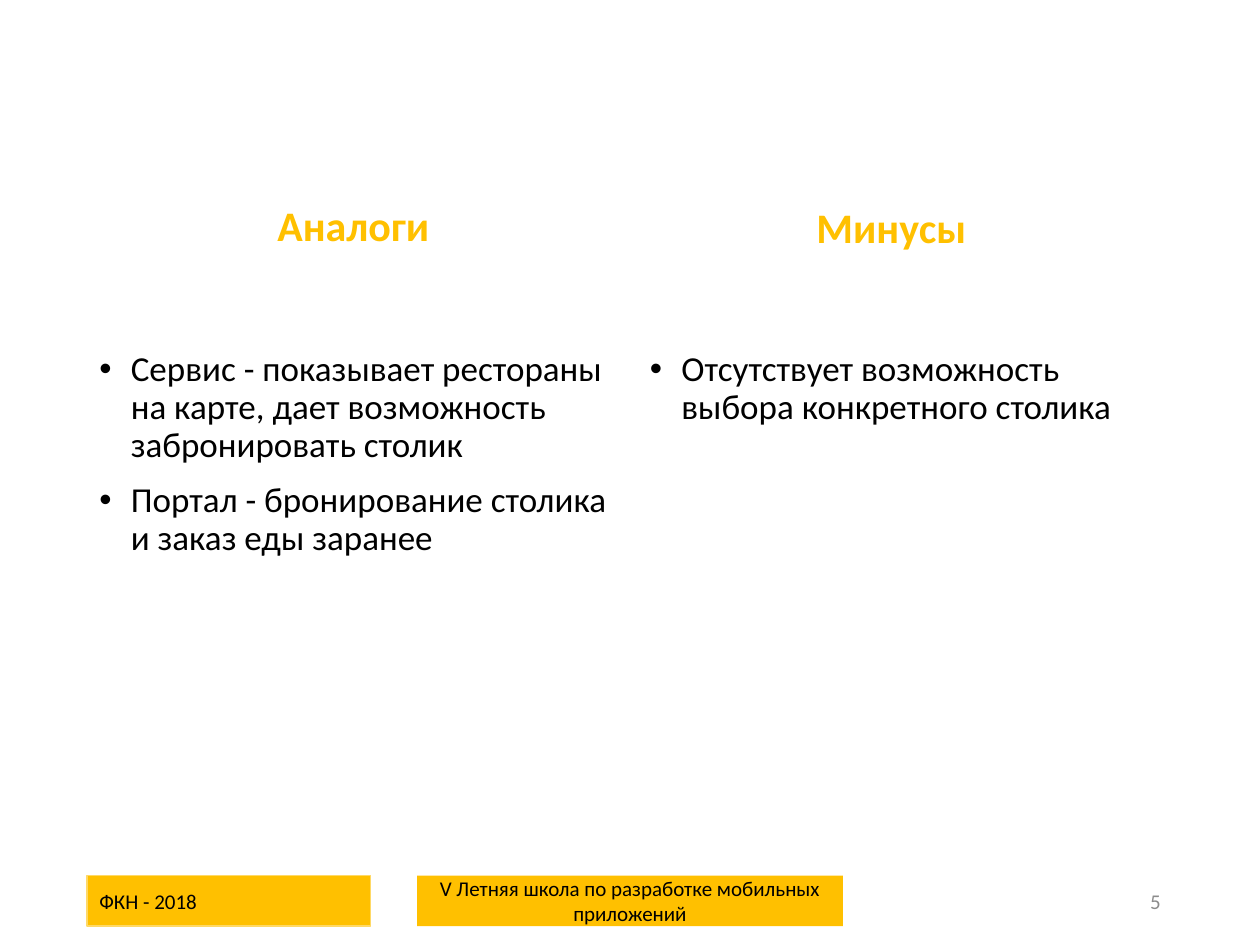
from dataclasses import dataclass

from lxml import etree
from pptx import Presentation
from pptx.dml.color import RGBColor
from pptx.enum.shapes import MSO_SHAPE
from pptx.enum.text import MSO_ANCHOR, PP_ALIGN
from pptx.oxml.ns import qn
from pptx.util import Inches, Pt

LEFT, CENTER, RIGHT = PP_ALIGN.LEFT, PP_ALIGN.CENTER, PP_ALIGN.RIGHT
TOP, MIDDLE, BOTTOM = MSO_ANCHOR.TOP, MSO_ANCHOR.MIDDLE, MSO_ANCHOR.BOTTOM
RECTANGLE = MSO_SHAPE.RECTANGLE

FONT = "Calibri"
AMBER, PALE_AMBER, BLACK, GRAY = "FFC000", "FFD966", "000000", "8C8C8C"
BULLET_INDENT = Inches(0.25)
FOOTER_TOP, FOOTER_HEIGHT = 6.95, 0.4


@dataclass
class TextStyle:
    size: int
    color: str
    align: PP_ALIGN = LEFT
    anchor: MSO_ANCHOR = TOP
    bold: bool = False
    body: bool = False
    bullets: bool = False


@dataclass
class Block:
    left: float
    top: float
    width: float
    height: float
    lines: list[str]
    style: TextStyle
    fill: str = ""
    outline: str = ""


HEADING = TextStyle(24, AMBER, CENTER, BOTTOM, bold=True, body=True)
BULLETS = TextStyle(20, BLACK, body=True, bullets=True)


def footer(left: float, width: float, text: str, color: str, align: PP_ALIGN,
           fill: str = "", outline: str = "") -> Block:
    style = TextStyle(12, color, align, MIDDLE)
    return Block(left, FOOTER_TOP, width, FOOTER_HEIGHT, [text], style, fill, outline)


BLOCKS = [
    Block(0.69, 1.14, 4.23, 0.9, ["Аналоги"], HEADING),
    Block(0.69, 2.74, 4.23, 4.03, [
        "Сервис - показывает рестораны на карте, дает возможность забронировать столик",
        "Портал - бронирование столика и заказ еды заранее",
    ], BULLETS),
    footer(0.69, 2.25, "ФКН - 2018", BLACK, LEFT, AMBER, PALE_AMBER),
    footer(3.31, 3.38, "V Летняя школа по разработке мобильных приложений", BLACK, CENTER, AMBER),
    footer(7.06, 2.25, "5", GRAY, RIGHT),
    Block(5.06, 2.74, 4.25, 0.93, ["Отсутствует возможность выбора конкретного столика"], BULLETS),
    Block(4.96, 1.15, 4.23, 0.9, ["Минусы"], HEADING),
]


def rgb(color: str) -> RGBColor:
    return RGBColor.from_string(color)


def add_bullet(para) -> None:
    properties = para._p.get_or_add_pPr()
    properties.set("marL", str(BULLET_INDENT))
    properties.set("indent", str(-BULLET_INDENT))
    etree.SubElement(properties, qn("a:buFont"), typeface="Arial")
    etree.SubElement(properties, qn("a:buChar"), char="•")


def write_text(box, lines: list[str], style: TextStyle) -> None:
    frame = box.text_frame
    frame.word_wrap = True
    frame.vertical_anchor = style.anchor
    frame.text = "\n".join(lines)
    for para in frame.paragraphs:
        para.alignment = style.align
        if style.body:
            para.line_spacing = 0.9
            para.space_before = Pt(10)
        if style.bullets:
            add_bullet(para)
        for span in para.runs:
            span.font.name = FONT
            span.font.size = Pt(style.size)
            span.font.bold = style.bold
            span.font.color.rgb = rgb(style.color)


def draw_block(page, block: Block) -> None:
    place = [Inches(n) for n in (block.left, block.top, block.width, block.height)]
    if block.fill:
        box = page.shapes.add_shape(RECTANGLE, *place)
        box.shadow.inherit = False
        box.fill.solid()
        box.fill.fore_color.rgb = rgb(block.fill)
        if block.outline:
            box.line.color.rgb = rgb(block.outline)
            box.line.width = Pt(0.75)
        else:
            box.line.fill.background()
    else:
        box = page.shapes.add_textbox(*place)
    write_text(box, block.lines, block.style)


def main() -> None:
    deck = Presentation()
    deck.slide_width, deck.slide_height = Inches(10), Inches(7.5)
    page = deck.slides.add_slide(deck.slide_layouts[6])
    for block in BLOCKS:
        draw_block(page, block)
    deck.save("out.pptx")


if __name__ == "__main__":
    main()
